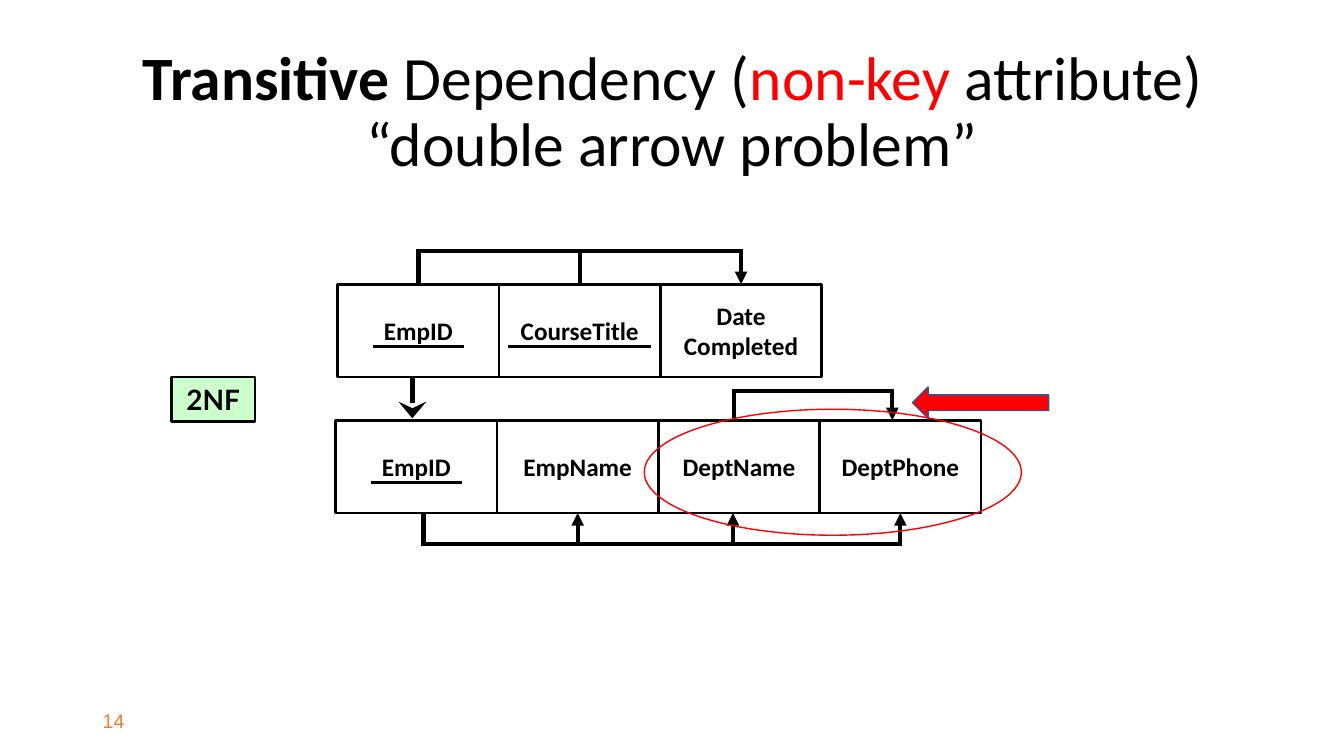
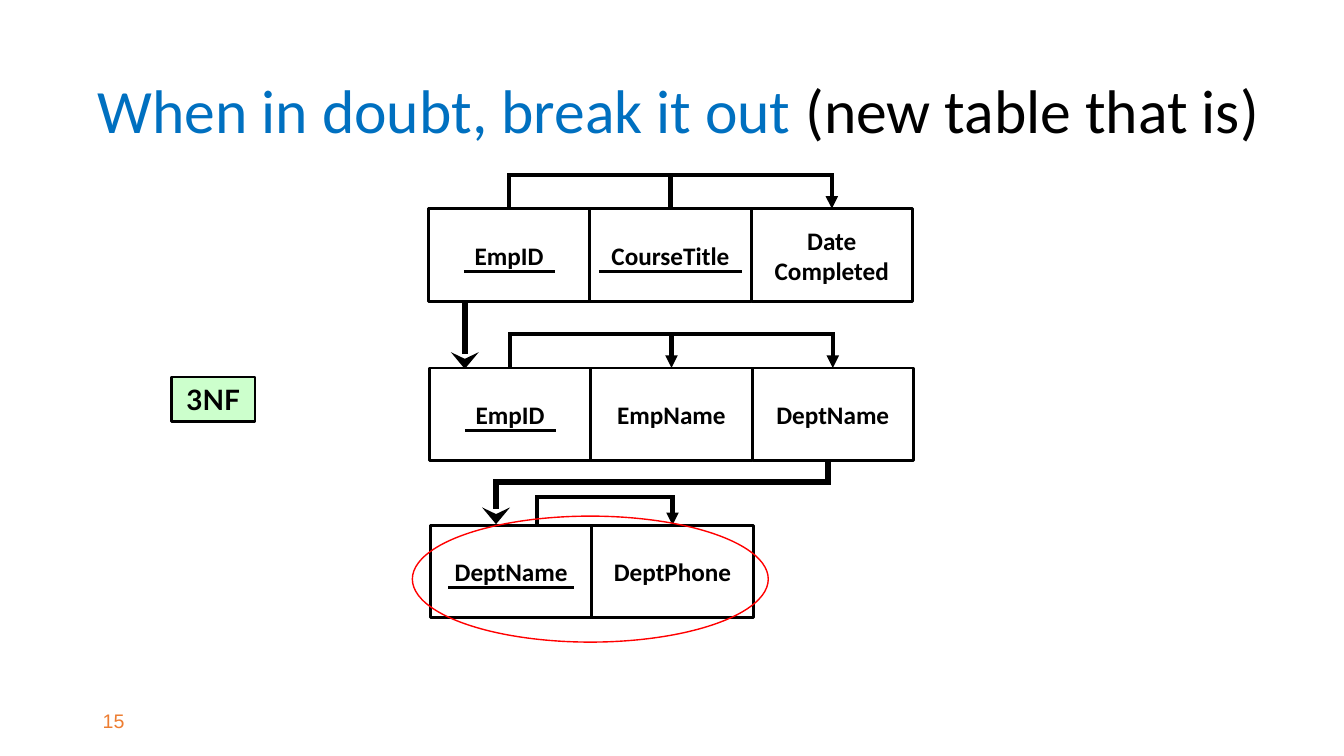
from dataclasses import dataclass

from lxml.etree import SubElement
from pptx import Presentation
from pptx.dml.color import RGBColor
from pptx.enum.shapes import MSO_CONNECTOR as Connector, MSO_SHAPE as Preset
from pptx.enum.text import MSO_ANCHOR as Anchor, PP_ALIGN as Align
from pptx.oxml.ns import qn
from pptx.util import Inches, Pt


@dataclass(frozen=True)
class Theme:
    ink: str = "000000"
    red: str = "FF0000"
    blue: str = "0070C0"
    orange: str = "ED7D31"
    green: str = "CCFFCC"
    navy: str = "325491"
    body_font: str = "Calibri"
    tag_font: str = "Lato"
    number_font: str = "Arial"
    title_size: int = 44
    tag_size: int = 20
    cell_size: int = 18
    number_size: int = 14
    thin: int = 1
    border: int = 2
    wire: int = 3
    key_wire: int = 4


THEME = Theme()
COLUMNS, ROWS = 133.3, 75
CELL_COLUMNS, CELL_ROWS = 16, 9.2
UNDERLINE_ROW = 6.2
UNDERLINES = {"EmpID": 9, "CourseTitle": 14.2, "DeptName": 12.5}
TOP, BOTTOM = 0, 2


def grid(*steps):
    return [Inches(step / 10) for step in steps]


def apply(target, values):
    for name, value in values.items():
        setattr(target, name, value)


def write(shape, paragraphs, font, size, align=Align.CENTER, spacing=1.0, wrap=True):
    frame = shape.text_frame
    apply(frame, {"word_wrap": wrap, "vertical_anchor": Anchor.MIDDLE})
    for index, runs in enumerate(paragraphs):
        paragraph = frame.add_paragraph() if index else frame.paragraphs[0]
        apply(paragraph, {"alignment": align, "line_spacing": spacing})
        for text, color, bold in runs:
            if text == "\n":
                paragraph.add_line_break()
                continue
            run = paragraph.add_run()
            run.text = text
            apply(run.font, {"name": font, "size": Pt(size), "bold": bold})
            run.font.color.rgb = RGBColor.from_string(color)


def add_figure(slide, preset, place, line, weight, fill=None):
    shape = slide.shapes.add_shape(preset, *grid(*place))
    shape.shadow.inherit = False
    shape.line.color.rgb = RGBColor.from_string(line)
    shape.line.width = Pt(weight)
    if fill:
        shape.fill.solid()
        shape.fill.fore_color.rgb = RGBColor.from_string(fill)
    else:
        shape.fill.background()
    return shape


def add_line(slide, start, end, weight, head=None):
    line = slide.shapes.add_connector(Connector.STRAIGHT, *grid(*start, *end))
    line.line.color.rgb = RGBColor.from_string(THEME.ink)
    line.line.width = Pt(weight)
    properties = line._element.spPr
    if head:
        width = "lg" if head == "stealth" else "med"
        SubElement(properties.find(qn("a:ln")), qn("a:tailEnd"), type=head, w=width, len="med")
    SubElement(properties, qn("a:effectLst"))
    return line


def add_slide(presentation, number, title, title_place, normal_form):
    slide = presentation.slides.add_slide(presentation.slide_layouts[6])
    footer = slide.shapes.add_textbox(*grid(9.2, 69.5, 30, 4))
    write(footer, [[(number, THEME.orange, False)]], THEME.number_font, THEME.number_size, Align.LEFT)
    heading = slide.shapes.add_textbox(*grid(*title_place))
    write(heading, [title], THEME.body_font, THEME.title_size, spacing=0.9)
    tag = add_figure(slide, Preset.RECTANGLE, (17, 37.4, 8.3, 4.4), THEME.ink, THEME.border, THEME.green)
    write(tag, [[(normal_form, THEME.ink, True)]], THEME.tag_font, THEME.tag_size)
    return slide


def add_relation(slide, left, top, names, keys):
    cells = []
    for index, name in enumerate(names):
        x = left + index * CELL_COLUMNS
        cell = add_figure(slide, Preset.RECTANGLE, (x, top, CELL_COLUMNS, CELL_ROWS), THEME.ink, THEME.border)
        lines = [[(text, THEME.ink, True)] for text in name.split("\n")]
        write(cell, lines, THEME.body_font, THEME.cell_size, wrap=False)
        if name in keys:
            center, half, y = x + CELL_COLUMNS / 2, UNDERLINES[name] / 2, top + UNDERLINE_ROW
            add_line(slide, (center - half, y), (center + half, y), THEME.border)
        cells.append((cell, x + CELL_COLUMNS / 2, top))
    return cells


def add_dependency(slide, rail, side, drops):
    stops = []
    for (cell, center, top), shift, head in drops:
        x = center + shift
        edge = top if side == TOP else top + CELL_ROWS
        drop = add_line(slide, (x, rail), (x, edge), THEME.wire, head)
        if not shift:
            drop.end_connect(cell, side)
        stops.append(x)
    add_line(slide, (min(stops) - 0.2, rail), (max(stops) + 0.2, rail), THEME.wire)


def add_course_relation(slide, left, top):
    names = ["EmpID", "CourseTitle", "Date\nCompleted"]
    employee, course, date = add_relation(slide, left, top, names, names[:2])
    drops = [(employee, 0, None), (course, 0, None), (date, 0, "triangle")]
    add_dependency(slide, top - 3.3, TOP, drops)


def add_key_arrow(slide, x, start, end):
    add_line(slide, (x, start), (x, end), THEME.key_wire, "stealth")


def add_highlight(slide, place):
    add_figure(slide, Preset.OVAL, place, THEME.red, THEME.thin)


def build_transitive(presentation):
    title = [
        ("Transitive", THEME.ink, True),
        (" Dependency (", THEME.ink, False),
        ("non-key", THEME.red, False),
        (" attribute)", THEME.ink, False),
        ("\n", THEME.ink, False),
        ("“double arrow problem”", THEME.ink, False),
    ]
    slide = add_slide(presentation, "14", title, (9.2, 4, 115, 14.5), "2NF")
    add_course_relation(slide, 33.5, 28.2)
    add_key_arrow(slide, 40.9, 37.4, 41.5)
    names = ["EmpID", "EmpName", "DeptName", "DeptPhone"]
    employee, name, department, phone = add_relation(slide, 33.3, 41.7, names, names[:1])
    add_dependency(slide, 54, BOTTOM, [
        (employee, 0.7, None),
        (name, 0, "triangle"),
        (department, -0.6, "triangle"),
        (phone, 0, "triangle"),
    ])
    add_dependency(slide, 38.8, TOP, [(department, -0.5, None), (phone, -0.8, "triangle")])
    add_figure(slide, Preset.LEFT_ARROW, (90.5, 38.4, 13.5, 3.1), THEME.navy, THEME.thin, THEME.red)
    add_highlight(slide, (63.9, 40.6, 37.4, 12.5))


def build_split(presentation):
    title = [
        ("When in doubt, break it out ", THEME.blue, False),
        ("(new table that is)", THEME.ink, False),
    ]
    slide = add_slide(presentation, "15", title, (5.9, 4, 122.8, 14.5), "3NF")
    add_course_relation(slide, 42.5, 20.7)
    names = ["EmpID", "EmpName", "DeptName"]
    employee, name, department = add_relation(slide, 42.6, 36.5, names, names[:1])
    drops = [(employee, 0, None), (name, 0, "triangle"), (department, 0, "triangle")]
    add_dependency(slide, 33.1, TOP, drops)
    add_key_arrow(slide, 46.1, 29.8, 36.6)

    names = ["DeptName", "DeptPhone"]
    key, phone = add_relation(slide, 42.7, 52.1, names, names[:1])
    add_dependency(slide, 49.3, TOP, [(key, 2.6, None), (phone, 0, "triangle")])
    add_line(slide, (82.1, 45.8), (82.1, 47.8), THEME.key_wire)
    add_line(slide, (82.4, 47.8), (48.9, 47.8), THEME.key_wire)
    add_key_arrow(slide, 49.2, 47.6, 52)
    add_highlight(slide, (40.9, 51.2, 35.3, 12.5))


def main():
    presentation = Presentation()
    width, height = grid(COLUMNS, ROWS)
    apply(presentation, {"slide_width": width, "slide_height": height})
    build_transitive(presentation)
    build_split(presentation)
    presentation.save("out.pptx")


if __name__ == "__main__":
    main()
